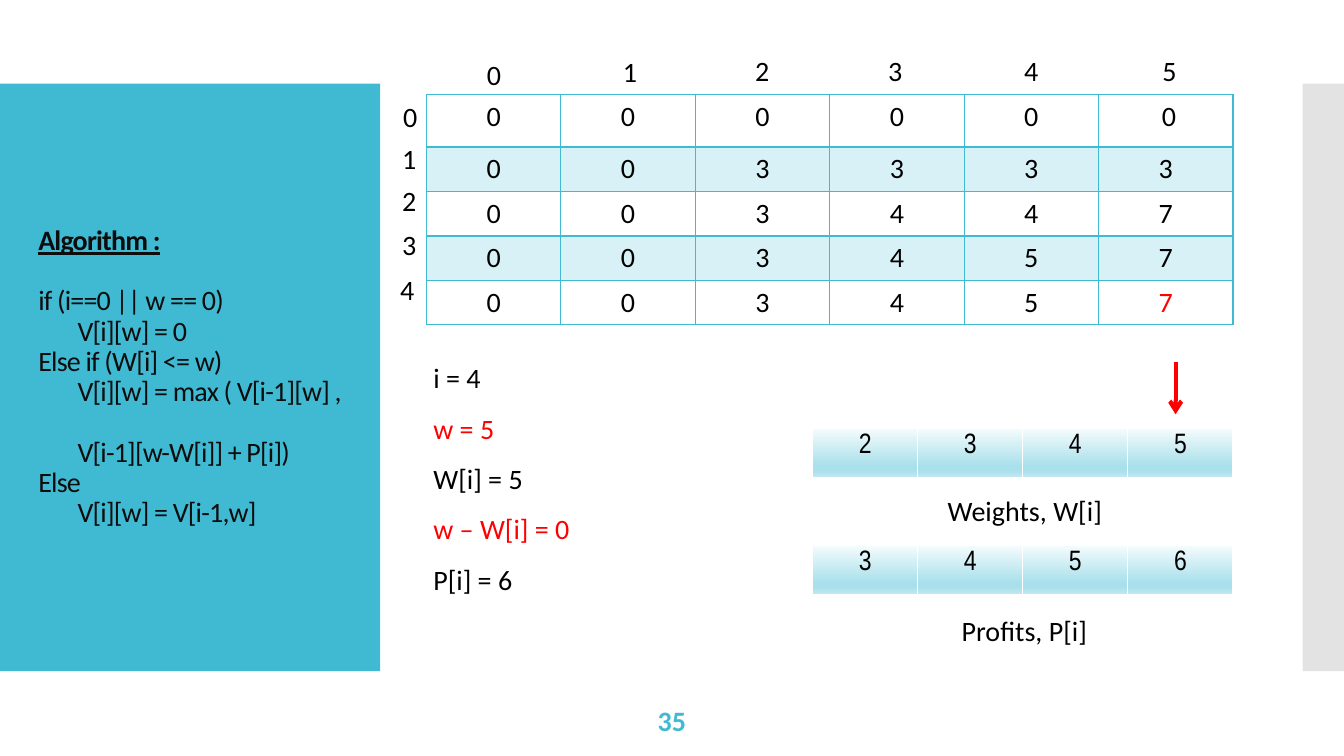
import pptx
import pptx.util
import pptx.dml.color
import pptx.enum.shapes
import pptx.enum.text
import pptx.oxml
import pptx.oxml.ns
from pptx.util import Inches

COLORS = {
    "teal": "40BAD2", "gray": "C8C8C8", "ink": "0D0D0D",
    "black": "000000", "red": "FF0000", "white": "FFFFFF",
}
GRADIENT = [(0, "F5FCFD"), (74, "A9E0EB"), (83, "A9E0EB"), (100, "C6EAF1")]
ALIGN = pptx.enum.text.PP_ALIGN
ANCHOR = pptx.enum.text.MSO_ANCHOR
NS = pptx.oxml.ns.nsdecls("a")

ALGORITHM = [  # text, indent level, blank line above
    ("Algorithm :", 0, False),
    ("if (i==0 || w == 0)", 0, True),
    ("V[i][w] = 0", 1, False),
    ("Else if (W[i] <= w)", 0, False),
    ("V[i][w] = max ( V[i-1][w] ,", 1, False),
    ("V[i-1][w-W[i]] + P[i])", 1, True),
    ("Else", 0, False),
    ("V[i][w] = V[i-1,w]", 1, False),
]
VALUES = ["000000", "003333", "003447", "003457", "003457"]
STATE = [("i = 4", "black"), ("w = 5", "red"), ("W[i] = 5", "black"),
         ("w – W[i] = 0", "red"), ("P[i] = 6", "black")]


def rgb(name):
    return pptx.dml.color.RGBColor.from_string(COLORS[name])


def add_run(p, text, color="black", **formats):
    r = p.add_run()
    r.text = text
    for key, value in {"name": "Calibri", "size": pptx.util.Pt(20), "bold": False, **formats}.items():
        setattr(r.font, key, value)
    r.font.color.rgb = rgb(color)
    return r


def set_alpha(fill_parent, percent):
    for color in fill_parent.iter(pptx.oxml.ns.qn("a:srgbClr")):
        color.append(pptx.oxml.parse_xml(f'<a:alpha {NS} val="{percent * 1000}"/>'))


def add_panel(s, x, width, color):
    sp = s.shapes.add_shape(pptx.enum.shapes.MSO_SHAPE.RECTANGLE,
                            Inches(x), Inches(0.83), Inches(width), Inches(5.83))
    sp.shadow.inherit = False
    sp.fill.solid()
    sp.fill.fore_color.rgb = rgb(color)
    sp.line.fill.background()
    return sp


def add_text(s, x, y, width, height, lines, wrap=False, align=None, before=0, **formats):
    tf = s.shapes.add_textbox(Inches(x), Inches(y), Inches(width), Inches(height)).text_frame
    tf.word_wrap = wrap
    for i, (text, color) in enumerate(lines):
        p = tf.paragraphs[0] if i == 0 else tf.add_paragraph()
        p.alignment = align
        p.space_before = pptx.util.Pt(before)
        add_run(p, text, color, **formats)
    return tf


def fill_title(s):
    title = s.shapes.title
    s.shapes._spTree.append(title._element)  # in front of the panels
    for key, value in {"left": 0.28, "top": 1.23, "width": 3.22, "height": 5.03}.items():
        setattr(title, key, Inches(value))
    tf = title.text_frame
    for key, value in {"word_wrap": True, "auto_size": pptx.enum.text.MSO_AUTO_SIZE.NONE,
                       "vertical_anchor": ANCHOR.MIDDLE, "margin_right": 0}.items():
        setattr(tf, key, value)
    for i, (text, level, gap) in enumerate(ALGORITHM):
        p = tf.paragraphs[0] if i == 0 else tf.add_paragraph()
        for key, value in {"alignment": ALIGN.LEFT, "line_spacing": 0.9,
                           "space_before": pptx.util.Pt(21.6 if gap else 0)}.items():
            setattr(p, key, value)
        p._p.get_or_add_pPr().set("marL", str(Inches(0.39 * level)))
        r = add_run(p, text, "ink", bold=i == 0, underline=i == 0)
        r._r.get_or_add_rPr().set("spc", "-60")


def set_borders(cell, color, widths):
    tcPr = cell._tc.get_or_add_tcPr()
    for i, (side, width) in enumerate(zip("LRTB", widths)):
        tcPr.insert(i, pptx.oxml.parse_xml(
            f'<a:ln{side} {NS} w="{pptx.util.Pt(width)}"><a:solidFill>'
            f'<a:srgbClr val="{COLORS[color]}"/></a:solidFill></a:ln{side}>'))


def fill_gradient(cell):
    stops = "".join(f'<a:gs pos="{pos * 1000}"><a:srgbClr val="{color}"/></a:gs>'
                    for pos, color in GRADIENT)
    cell._tc.get_or_add_tcPr().append(pptx.oxml.parse_xml(
        f'<a:gradFill {NS}><a:gsLst>{stops}</a:gsLst><a:lin ang="5400000" scaled="0"/></a:gradFill>'))


def fill_band(cell, banded):
    if banded:
        cell.fill.solid()
        cell.fill.fore_color.rgb = rgb("teal")
        set_alpha(cell._tc.tcPr, 20)
    else:
        cell.fill.background()


def add_grid(s, x, y, width, heights, rows):
    """Add a plain table with one digit per cell and return it."""
    count = len(rows[0])
    table = s.shapes.add_table(len(rows), count, Inches(x), Inches(y),
                               Inches(width), Inches(sum(heights))).table
    table.first_row = table.horz_banding = False
    for column in table.columns:
        column.width = Inches(width / count)
    for row, height in zip(table.rows, heights):
        row.height = Inches(height)
    return table


def add_value_table(s):
    table = add_grid(s, 4.23, 0.94, 8, [0.52] + [0.41] * 4, VALUES)
    for i, digits in enumerate(VALUES):
        for j, digit in enumerate(digits):
            cell = table.cell(i, j)
            p = cell.text_frame.paragraphs[0]
            p.alignment = ALIGN.CENTER
            add_run(p, " 0" if (i, j) == (0, 5) else digit, "red" if (i, j) == (4, 5) else "black")
            fill_band(cell, i % 2 == 1)
            set_borders(cell, "teal", (1, 1, 2 if i == 1 else 1, 2 if i == 0 else 1))


def add_item_table(s, y, digits):
    table = add_grid(s, 8.06, y, 4.17, [0.5], [digits])
    for j, digit in enumerate(digits):
        cell = table.cell(0, j)
        p = cell.text_frame.paragraphs[0]
        p.alignment = ALIGN.CENTER
        add_run(p, digit, name="Arial Narrow")
        fill_gradient(cell)
        set_borders(cell, "white", (1, 1, 1, 3))


def add_arrow(s, x, top, bottom):
    line = s.shapes.add_connector(pptx.enum.shapes.MSO_CONNECTOR.STRAIGHT,
                                  Inches(x), Inches(top), Inches(x), Inches(bottom))
    line.line.color.rgb = rgb("red")
    line.line.width = pptx.util.Pt(3)
    line.line._get_or_add_ln().append(pptx.oxml.parse_xml(f'<a:tailEnd {NS} type="arrow"/>'))
    line._element.spPr.append(pptx.oxml.parse_xml(f"<a:effectLst {NS}/>"))


def main():
    prs = pptx.Presentation()
    prs.slide_width, prs.slide_height = Inches(13.33), Inches(7.5)
    s = prs.slides.add_slide(prs.slide_layouts[5])

    # Side panels and algorithm
    add_panel(s, 0, 3.77, "teal")
    set_alpha(add_panel(s, 12.92, 0.42, "gray")._element.spPr, 50)
    fill_title(s)

    # Value table with column and row labels
    add_value_table(s)
    column_spots = [(4.73, 0.52), (6.08, 0.49), (7.39, 0.48), (8.71, 0.48), (10.06, 0.48), (11.43, 0.48)]
    row_spots = [(3.9, 0.94), (3.89, 1.35), (3.89, 1.77), (3.89, 2.21), (3.87, 2.65)]
    for spots in (column_spots, row_spots):
        for i, (x, y) in enumerate(spots):
            add_text(s, x, y, 0.34, 0.44, [(str(i), "black")])

    # Current step
    add_text(s, 4.2, 3.53, 2.86, 2.46, STATE, wrap=True, before=12)

    # Weights and profits
    add_item_table(s, 4.25, "2345")
    add_text(s, 9.3, 4.85, 1.75, 0.44, [("Weights, W[i]", "black")])
    add_item_table(s, 5.41, "3456")
    add_text(s, 9.44, 6.04, 1.46, 0.44, [("Profits, P[i]", "black")])
    add_arrow(s, 11.66, 3.59, 4.11)

    # Slide number
    tf = add_text(s, 5.83, 6.95, 1.67, 0.4, [("35", "teal")], wrap=True, align=ALIGN.CENTER, bold=True)
    tf.vertical_anchor = ANCHOR.MIDDLE
    prs.save("out.pptx")


if __name__ == "__main__":
    main()
